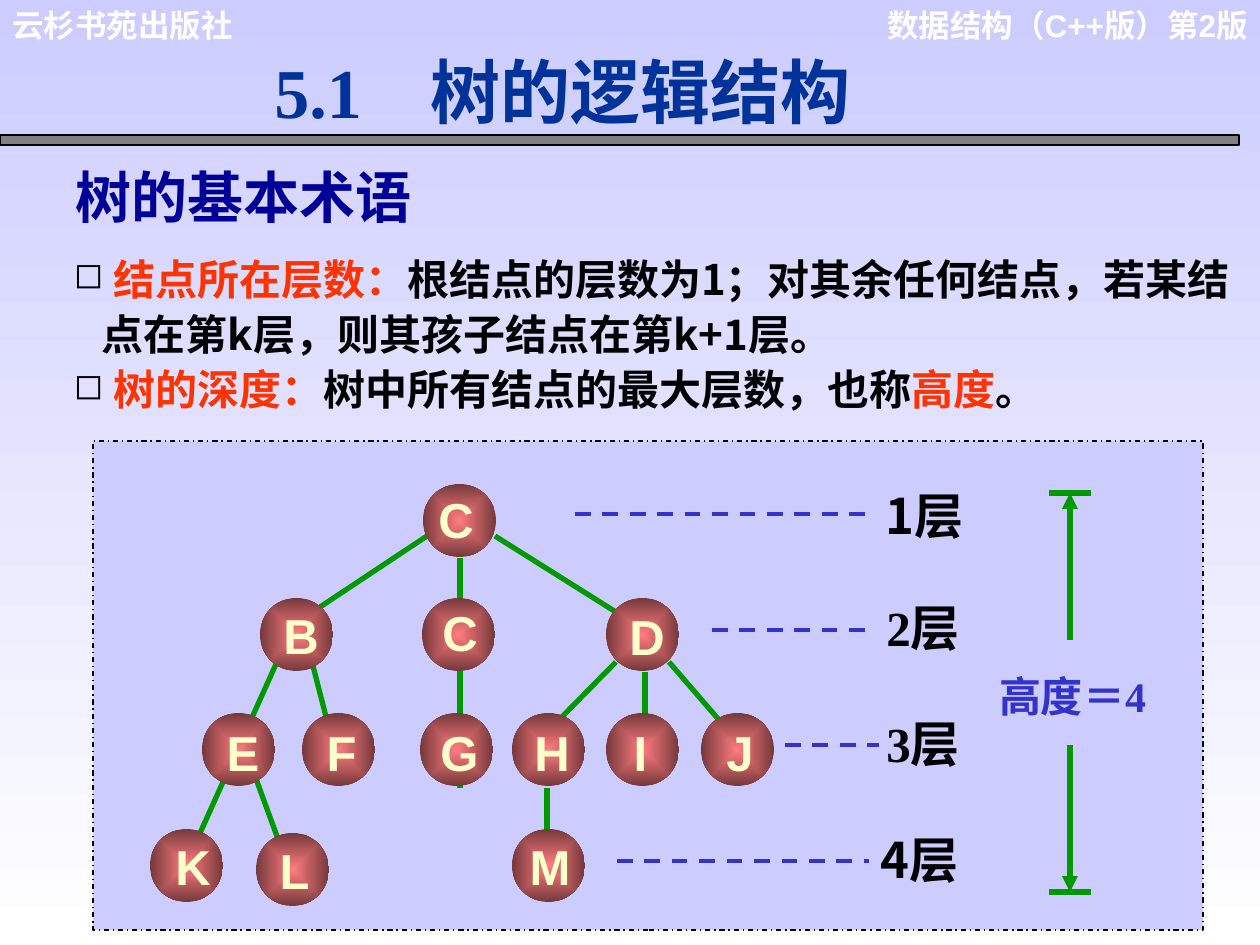
from dataclasses import dataclass

from lxml.etree import SubElement
from pptx import Presentation
from pptx.dml.color import RGBColor
from pptx.enum.dml import MSO_LINE
from pptx.enum.shapes import MSO_CONNECTOR, MSO_SHAPE
from pptx.enum.text import MSO_ANCHOR, MSO_AUTO_SIZE, PP_ALIGN
from pptx.oxml.ns import qn
from pptx.util import Pt

EMU_PER_PX = 914400 / 126
NODE_SIZE = 73
LABEL_HEIGHT = 72
DASH_END = 869
HEIGHT_X = 1070
CJK, SANS, SERIF = "Noto Sans CJK SC", "Arial", "Times New Roman"
COLORS = {
    "panel": "CCCCFF", "white": "FFFFFF", "black": "000000", "bar": "808080",
    "title": "003399", "heading": "000099", "accent": "FF3300",
    "level": "3333CC", "edge": "009900", "letter": "FFFFCC",
    "node_center": "FF7C80", "node_rim": "75393B",
}


@dataclass
class Node:
    letter: str
    x: int
    y: int
    label_x: int
    label_y: int
    label_width: int


@dataclass
class Level:
    text: str
    font: str
    x: int
    y: int
    width: int
    dash_start: int
    dash_end: int
    dash_y: int


@dataclass
class Line:
    x1: int
    y1: int
    x2: int
    y2: int


NODES = [
    Node("C", 423, 484, 426, 483, 60),
    Node("B", 260, 598, 271, 599, 60),
    Node("C", 422, 598, 430, 596, 60),
    Node("D", 606, 598, 617, 600, 60),
    Node("E", 202, 713, 214, 716, 58),
    Node("F", 302, 713, 314, 716, 55),
    Node("G", 420, 713, 428, 716, 63),
    Node("H", 512, 713, 522, 716, 60),
    Node("I", 606, 713, 621, 716, 39),
    Node("J", 701, 713, 714, 716, 52),
    Node("K", 150, 829, 163, 830, 60),
    Node("L", 256, 833, 267, 834, 55),
    Node("M", 512, 829, 517, 830, 66),
]
EDGES = [
    Line(427, 536, 302, 619), Line(460, 558, 460, 788), Line(495, 536, 627, 619),
    Line(277, 662, 183, 871), Line(312, 662, 331, 736), Line(616, 662, 554, 725),
    Line(645, 672, 645, 725), Line(669, 662, 732, 735), Line(255, 776, 278, 839),
    Line(547, 788, 547, 851),
]
LEVELS = [
    Level("1层", CJK, 867, 479, 115, 575, DASH_END, 514),
    Level("2层", SERIF, 868, 591, 110, 712, DASH_END, 630),
    Level("3层", SERIF, 868, 707, 110, 785, 879, 745),
    Level("4层", CJK, 862, 823, 115, 617, DASH_END, 861),
]
TERMS = [
    [(" 结点所在层数：", "accent"),
     ("根结点的层数为1；对其余任何结点，若某结点在第k层，则其孩子结点在第k+1层。", "black")],
    [(" 树的深度：", "accent"), ("树中所有结点的最大层数，也称", "black"),
     ("高度", "accent"), ("。", "black")],
]


def px(length: int) -> int:
    return round(length * EMU_PER_PX)


def rgb(name: str) -> RGBColor:
    return RGBColor.from_string(COLORS[name])


def style_run(run, size: int, font: str, color: str) -> None:
    run.font.size = Pt(size)
    run.font.bold = True
    run.font.name = font
    run.font.color.rgb = rgb(color)
    SubElement(run.font._element, qn("a:ea")).set("typeface", CJK)


def add_text(slide, text: str, x: int, y: int, width: int, height: int, size: int,
             font: str, color: str, align=PP_ALIGN.LEFT, wrap: bool = True):
    shape = slide.shapes.add_textbox(px(x), px(y), px(width), px(height))
    frame = shape.text_frame
    frame.word_wrap = wrap
    frame.auto_size = MSO_AUTO_SIZE.SHAPE_TO_FIT_TEXT
    if not wrap:
        frame.vertical_anchor = MSO_ANCHOR.MIDDLE
    frame.text = text
    paragraph = frame.paragraphs[0]
    paragraph.alignment = align
    for run in paragraph.runs:
        style_run(run, size, font, color)
    return shape


def add_line(slide, line: Line, color: str, width: float,
             dashed: bool = False, arrow: bool = False) -> None:
    connector = slide.shapes.add_connector(
        MSO_CONNECTOR.STRAIGHT, px(line.x1), px(line.y1), px(line.x2), px(line.y2))
    connector.line.color.rgb = rgb(color)
    connector.line.width = Pt(width)
    if dashed:
        connector.line.dash_style = MSO_LINE.DASH
    if arrow:
        SubElement(connector.line._get_or_add_ln(), qn("a:tailEnd")).set("type", "triangle")
    SubElement(connector._element.spPr, qn("a:effectLst"))


def add_box(slide, x: int, y: int, width: int, height: int, fill: str):
    shape = slide.shapes.add_shape(
        MSO_SHAPE.RECTANGLE, px(x), px(y), px(width), px(height))
    shape.shadow.inherit = False
    shape.fill.solid()
    shape.fill.fore_color.rgb = rgb(fill)
    shape.line.color.rgb = rgb("black")
    shape.line.width = Pt(0.75)
    return shape


def set_gradient(fill, start: str, end: str) -> None:
    fill.gradient()
    for stop, color, position in zip(fill.gradient_stops, (start, end), (0, 1)):
        stop.color.rgb = rgb(color)
        stop.position = position


def add_node(slide, node: Node) -> None:
    shape = slide.shapes.add_shape(
        MSO_SHAPE.OVAL, px(node.x), px(node.y), px(NODE_SIZE), px(NODE_SIZE))
    shape.shadow.inherit = False
    shape.line.fill.background()
    set_gradient(shape.fill, "node_center", "node_rim")
    gradient = shape._element.spPr.find(qn("a:gradFill"))
    gradient.remove(gradient.find(qn("a:lin")))
    gradient_path = SubElement(gradient, qn("a:path"), {"path": "rect"})
    SubElement(gradient_path, qn("a:fillToRect"), dict.fromkeys("ltrb", "50000"))
    add_text(slide, node.letter, node.label_x, node.label_y, node.label_width,
             LABEL_HEIGHT, 28, SANS, "letter", PP_ALIGN.CENTER, wrap=False)


def add_terms(slide) -> None:
    frame = add_text(slide, "", 74, 242, 1186, 179, 24, CJK, "black").text_frame
    frame.margin_left = frame.margin_right = 0
    for index, parts in enumerate(TERMS):
        paragraph = frame.add_paragraph() if index else frame.paragraphs[0]
        paragraph.line_spacing = 1.1
        properties = paragraph._p.get_or_add_pPr()
        properties.set("marL", str(px(28)))
        properties.set("indent", str(-px(28)))
        bullet_color = SubElement(properties, qn("a:buClr"))
        SubElement(bullet_color, qn("a:srgbClr")).set("val", COLORS["black"])
        SubElement(properties, qn("a:buSzPct")).set("val", "85000")
        SubElement(properties, qn("a:buChar")).set("char", "◻")
        for text, color in parts:
            run = paragraph.add_run()
            run.text = text
            style_run(run, 24, CJK, color)


def add_title(slide) -> None:
    shape = add_text(slide, "5.1\t树的逻辑结构", 262, 42, 609, 97, 40, SERIF, "title")
    properties = shape.text_frame.paragraphs[0]._p.get_or_add_pPr()
    tabs = SubElement(properties, qn("a:tabLst"))
    SubElement(tabs, qn("a:tab"), {"pos": str(px(156)), "algn": "l"})


def add_height_mark(slide) -> None:
    for tip, start in ((493, 640), (892, 745)):
        add_line(slide, Line(HEIGHT_X - 21, tip, HEIGHT_X + 21, tip), "edge", 3)
        add_line(slide, Line(HEIGHT_X, start, HEIGHT_X, tip), "edge", 3, arrow=True)
    label = add_text(slide, "高度＝4", 982, 674, 181, 53, 24, SERIF, "level",
                     PP_ALIGN.CENTER, wrap=False)
    label.text_frame.paragraphs[0].line_spacing = 0.8


def main() -> None:
    presentation = Presentation()
    presentation.slide_width, presentation.slide_height = px(1260), px(945)
    slide = presentation.slides.add_slide(presentation.slide_layouts[6])
    set_gradient(slide.background.fill, "panel", "white")
    slide.background.fill.gradient_angle = 270

    add_text(slide, "数据结构（C++版）第2版", 868, 0, 392, 88, 18, SANS, "white", PP_ALIGN.RIGHT)
    add_text(slide, "云杉书苑出版社", 0, 0, 341, 50, 18, SANS, "white")
    add_box(slide, 0, 135, 1239, 10, "bar")
    add_title(slide)
    add_text(slide, "树的基本术语", 63, 156, 546, 81, 32, SANS, "heading")
    add_terms(slide)

    panel = add_box(slide, 93, 441, 1110, 489, "panel")
    panel.line.dash_style = MSO_LINE.DASH_DOT
    for level in LEVELS:
        dash = Line(level.dash_start, level.dash_y, level.dash_end, level.dash_y)
        add_line(slide, dash, "level", 2.25, dashed=True)
        add_text(slide, level.text, level.x, level.y, level.width, LABEL_HEIGHT,
                 28, level.font, "black", PP_ALIGN.CENTER, wrap=False)
    add_height_mark(slide)
    for edge in EDGES:
        add_line(slide, edge, "edge", 3)
    for node in NODES:
        add_node(slide, node)
    presentation.save("out.pptx")


if __name__ == "__main__":
    main()
